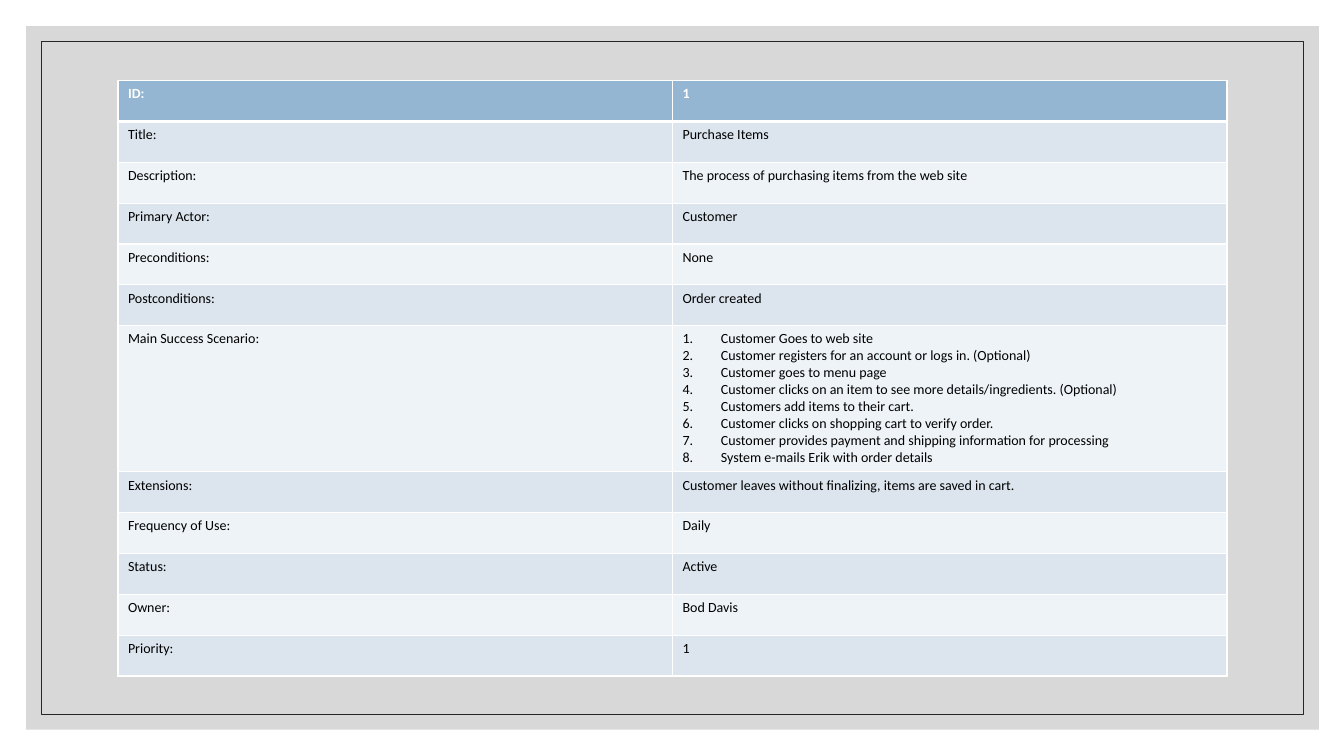
from lxml import etree
from pptx import Presentation
from pptx import util as u
from pptx.dml.color import RGBColor
from pptx.enum import shapes
from pptx.oxml.ns import qn

FONT = "Calibri"
STEPS = [
    "Customer Goes to web site",
    "Customer registers for an account or logs in. (Optional)",
    "Customer goes to menu page",
    "Customer clicks on an item to see more details/ingredients. (Optional)",
    "Customers add items to their cart.",
    "Customer clicks on shopping cart to verify order.",
    "Customer provides payment and shipping information for processing",
    "System e-mails Erik with order details",
]
USE_CASE = [
    ("ID:", "1"),
    ("Title:", "Purchase Items"),
    ("Description:", "The process of purchasing items from the web site"),
    ("Primary Actor:", "Customer"),
    ("Preconditions:", "None"),
    ("Postconditions:", "Order created"),
    ("Main Success Scenario:", STEPS),
    ("Extensions:", "Customer leaves without finalizing, items are saved in cart."),
    ("Frequency of Use:", "Daily"),
    ("Status:", "Active"),
    ("Owner:", "Bod Davis"),
    ("Priority:", "1"),
]


def color(hex_value):
    return RGBColor.from_string(hex_value)


def set_fill(target, hex_value):
    target.fill.solid()
    target.fill.fore_color.rgb = color(hex_value)


def add_rect(s, x, y, w, h):
    sp = s.shapes.add_shape(shapes.MSO_SHAPE.RECTANGLE, u.Inches(x),
                            u.Inches(y), u.Inches(w), u.Inches(h))
    sp.shadow.inherit = False
    return sp


def add_frame(s, x, y, w, h):
    # Translucent grey panel
    panel = add_rect(s, x, y, w, h)
    set_fill(panel, "BFBFBF")
    panel.line.fill.background()
    rgb = panel.fill._xPr.find(".//" + qn("a:srgbClr"))
    etree.SubElement(rgb, qn("a:alpha"), val="60000")

    # Thin inner outline
    gap = 0.15
    outline = add_rect(s, x + gap, y + gap, w - 2 * gap, h - 2 * gap)
    outline.fill.background()
    outline.line.color.rgb = color("262626")
    outline.line.width = u.Pt(0.5)


def set_borders(cell, hex_value, widths):
    tcPr = cell._tc.get_or_add_tcPr()
    for side, width in zip("LRTB", widths):
        ln = etree.SubElement(tcPr, qn("a:ln" + side), w=str(u.Pt(width)))
        fill = etree.SubElement(ln, qn("a:solidFill"))
        etree.SubElement(fill, qn("a:srgbClr"), val=hex_value)


def number_paragraph(p):
    pPr = p._p.get_or_add_pPr()
    pPr.set("marL", str(u.Inches(0.38)))
    pPr.set("indent", str(-u.Inches(0.38)))
    etree.SubElement(pPr, qn("a:buFont"), typeface="+mj-lt")
    etree.SubElement(pPr, qn("a:buAutoNum"), type="arabicPeriod")


def fill_cell(cell, content, header):
    tf = cell.text_frame
    numbered = isinstance(content, list)
    tf.text = "\n".join(content) if numbered else content
    for p in tf.paragraphs:
        if numbered:
            number_paragraph(p)
        for r in p.runs:
            r.font.name = FONT
            r.font.size = u.Pt(10)
            r.font.bold = header
            r.font.color.rgb = color("FFFFFF" if header else "000000")


def add_use_case_table(s, x, y, w, h):
    scenario_h = 1.45
    row_h = (h - scenario_h) / (len(USE_CASE) - 1)
    table = s.shapes.add_table(len(USE_CASE), 2, u.Inches(x), u.Inches(y),
                               u.Inches(w), u.Inches(h)).table
    for column in table.columns:
        column.width = u.Inches(w / 2)
    for i, entry in enumerate(USE_CASE):
        tall = isinstance(entry[1], list)
        table.rows[i].height = u.Inches(scenario_h if tall else row_h)
        band = "94B6D2" if i == 0 else ("EEF3F7", "DCE5EE")[i % 2]
        # A thick rule separates the header from the body
        widths = (1, 1, 3 if i == 1 else 1, 3 if i == 0 else 1)
        for j, content in enumerate(entry):
            cell = table.cell(i, j)
            set_borders(cell, "FFFFFF", widths)
            set_fill(cell, band)
            fill_cell(cell, content, header=i == 0)


def main():
    prs = Presentation()
    prs.slide_width, prs.slide_height = u.Inches(13.33), u.Inches(7.5)
    s = prs.slides.add_slide(prs.slide_layouts[6])
    add_frame(s, 0.26, 0.26, 12.82, 6.98)
    add_use_case_table(s, 1.17, 0.8, 11, 5.91)
    prs.save("out.pptx")


if __name__ == "__main__":
    main()
